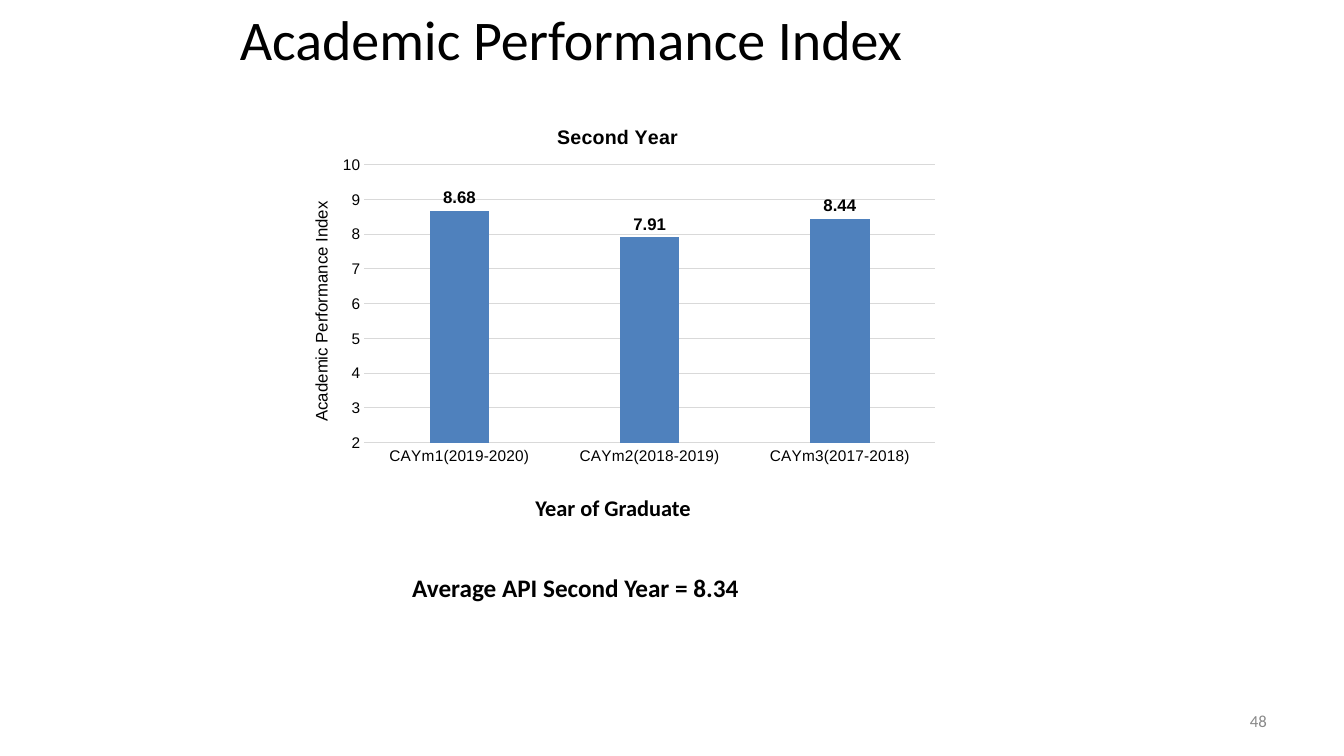
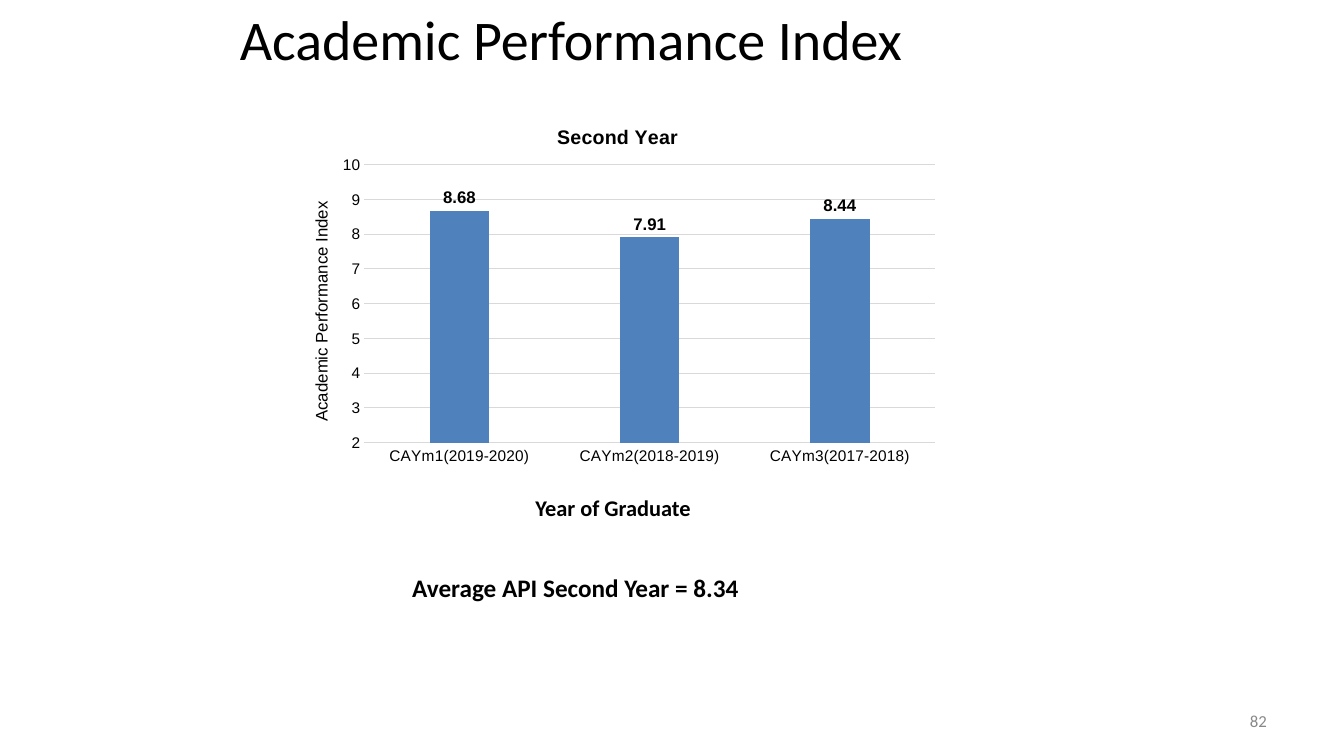
import pptx
import pptx.chart.data
import pptx.dml.color
import pptx.enum.chart
import pptx.enum.text
import pptx.oxml
import pptx.oxml.ns
import pptx.util

Cm = pptx.util.Cm
Pt = pptx.util.Pt
RGBColor = pptx.dml.color.RGBColor
ALIGN = pptx.enum.text.PP_ALIGN
ANCHOR = pptx.enum.text.MSO_ANCHOR
TICK = pptx.enum.chart.XL_TICK_MARK

BLACK = RGBColor(0x00, 0x00, 0x00)
GRAY = RGBColor(0x88, 0x88, 0x88)
GRID = RGBColor(0xD9, 0xD9, 0xD9)
BLUE = RGBColor(0x4F, 0x81, 0xBD)
TEXT_FONT = "Calibri"
CHART_FONT = "Arial"

# Boxes in centimetres: left, top, width, height
TITLE_BOX = (1.7, 0.08, 25.35, 1.75)
CHART_BOX = (7.09, 2.57, 16.74, 9.7)
CAPTION_BOX = (12.93, 12.32, 6.3, 1.09)
AVERAGE_BOX = (10.36, 14.38, 10.26, 0.81)
NUMBER_BOX = (24.28, 17.65, 7.9, 1.02)

YEARS = ("CAYm1(2019-2020)", "CAYm2(2018-2019)", "CAYm3(2017-2018)")
SCORES = (8.68, 7.91, 8.44)
PAGE_NUMBERS = (48, 82)


def set_font(font, size, bold=False, color=BLACK, name=CHART_FONT):
    font.name = name
    font.size = Pt(size)
    font.bold = bold
    font.color.rgb = color


def add_text(page, area, text, size, bold=False, color=BLACK, align=ALIGN.LEFT,
             anchor=ANCHOR.TOP, insets=(0.03, 0.03, 0, 0)):
    """Add one line of text; insets are left, top, right, bottom in cm."""
    box = page.shapes.add_textbox(*map(Cm, area))
    frame = box.text_frame
    frame.word_wrap = True
    frame.vertical_anchor = anchor
    (frame.margin_left, frame.margin_top,
     frame.margin_right, frame.margin_bottom) = map(Cm, insets)
    frame.text = text
    para = frame.paragraphs[0]
    para.alignment = align
    set_font(para.runs[0].font, size, bold, color, TEXT_FONT)


def place_part(element, index, inner=False, **fractions):
    """Give a chart part a fixed place, as fractions of the chart."""
    for old in element.findall(pptx.oxml.ns.qn("c:layout")):
        element.remove(old)
    target = '<c:layoutTarget val="inner"/>' if inner else ""
    modes = "".join(f'<c:{key}Mode val="edge"/>' for key in ("x", "y"))
    values = "".join(f'<c:{key} val="{value}"/>' for key, value in fractions.items())
    element.insert(index, pptx.oxml.parse_xml(
        f'<c:layout {pptx.oxml.ns.nsdecls("c")}><c:manualLayout>'
        f"{target}{modes}{values}</c:manualLayout></c:layout>"))


def title_part(title, text, size, bold, x, y):
    """Fill and place a chart title or an axis title."""
    title.text_frame.text = text
    set_font(title.text_frame.paragraphs[0].runs[0].font, size, bold)
    place_part(title._element, 1, x=x, y=y)


def style_axis(axis):
    axis.major_tick_mark = axis.minor_tick_mark = TICK.NONE
    set_font(axis.tick_labels.font, 11)


def add_score_chart(page, area):
    data = pptx.chart.data.CategoryChartData(number_format="0.00")
    data.categories = YEARS
    data.add_series("Series 1", SCORES)
    chart = page.shapes.add_chart(
        pptx.enum.chart.XL_CHART_TYPE.COLUMN_CLUSTERED, *map(Cm, area), data).chart
    set_font(chart.font, 10)
    chart.has_legend = False
    chart.has_title = True
    title_part(chart.chart_title, "Second Year", 14, True, x=0.41, y=0.05)
    place_part(chart._chartSpace.chart.plotArea, 0, inner=True,
               x=0.125, y=0.163, w=0.859, h=0.722)

    # Axes
    years, scores = chart.category_axis, chart.value_axis
    style_axis(years)
    style_axis(scores)
    scores.minimum_scale, scores.maximum_scale, scores.major_unit = 2, 10, 1
    scores.tick_labels.number_format = "General"
    scores.tick_labels.number_format_is_linked = False
    scores.format.line.fill.background()
    for line in (years.format.line, scores.major_gridlines.format.line):
        line.color.rgb = GRID
        line.width = Pt(0.75)
    scores.has_title = True
    title_part(scores.axis_title, "Academic Performance Index", 12, False, x=0.04, y=0.25)
    body = scores.axis_title.text_frame._txBody.bodyPr
    body.set("rot", "-5400000")
    body.set("vert", "horz")

    # Columns and their labels
    plot = chart.plots[0]
    plot.vary_by_categories = False
    plot.gap_width, plot.overlap = 219, -27
    columns = plot.series[0]
    columns.format.fill.solid()
    columns.format.fill.fore_color.rgb = BLUE
    labels = columns.data_labels
    labels.show_value = True
    labels.position = pptx.enum.chart.XL_LABEL_POSITION.OUTSIDE_END
    set_font(labels.font, 12, True)


def add_index_slide(deck, number):
    page = deck.slides.add_slide(deck.slide_layouts[6])
    add_text(page, NUMBER_BOX, str(number), 12, color=GRAY, align=ALIGN.RIGHT,
             anchor=ANCHOR.MIDDLE, insets=(0.25, 0.13, 0.25, 0.13))
    add_score_chart(page, CHART_BOX)
    add_text(page, TITLE_BOX, "Academic Performance Index", 40,
             align=ALIGN.CENTER, anchor=ANCHOR.MIDDLE)
    add_text(page, CAPTION_BOX, "Year of Graduate", 16, bold=True,
             insets=(0.56, 0.13, 0.25, 0.13))
    add_text(page, AVERAGE_BOX, "Average API Second Year = 8.34", 18, bold=True)


def main():
    deck = pptx.Presentation()
    deck.slide_width, deck.slide_height = Cm(33.87), Cm(19.05)
    for number in PAGE_NUMBERS:
        add_index_slide(deck, number)
    deck.save("out.pptx")


if __name__ == "__main__":
    main()
